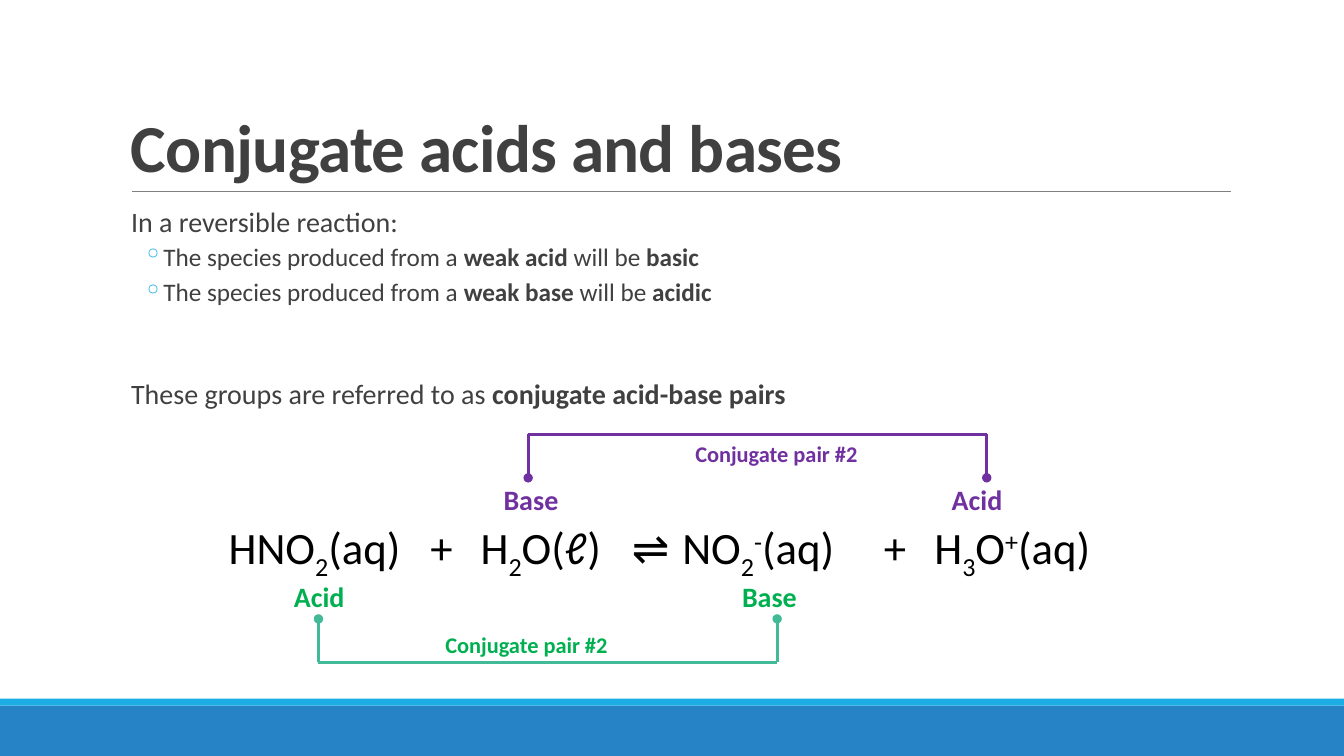
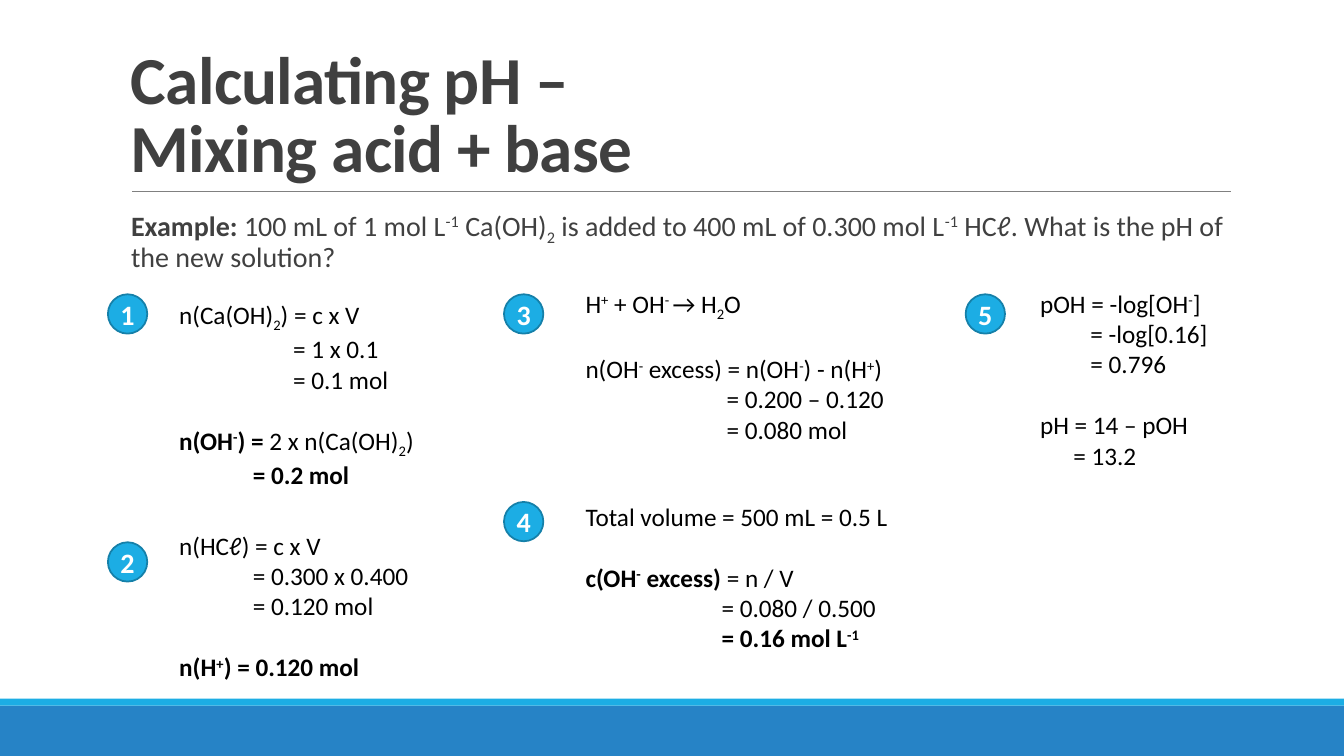
from dataclasses import dataclass

from lxml import etree
from pptx import Presentation
from pptx.dml.color import RGBColor
from pptx.enum.shapes import MSO_CONNECTOR, MSO_SHAPE
from pptx.enum.text import MSO_ANCHOR, PP_ALIGN
from pptx.oxml.ns import qn
from pptx.util import Inches, Pt

STRAIGHT = MSO_CONNECTOR.STRAIGHT
RECTANGLE, OVAL = MSO_SHAPE.RECTANGLE, MSO_SHAPE.OVAL
TOP, MIDDLE, BOTTOM = MSO_ANCHOR.TOP, MSO_ANCHOR.MIDDLE, MSO_ANCHOR.BOTTOM
CENTER = PP_ALIGN.CENTER


@dataclass(frozen=True)
class Theme:
    """Colours, font and type sizes shared by the slides."""
    font: str = "Calibri"
    band: str = "2683C6"
    accent: str = "1CADE4"
    badge_edge: str = "1580A9"
    rule: str = "808080"
    heading: str = "404040"
    ink: str = "000000"
    white: str = "FFFFFF"
    purple: str = "7030A0"
    green: str = "00B050"
    green_line: str = "42BA97"
    title: int = 48
    equation: int = 32
    body: int = 20
    working: int = 18
    pair: int = 16


@dataclass(frozen=True)
class Box:
    """A region in inches, divided into 100 columns and 100 rows."""
    left: float
    top: float
    width: float
    height: float

    def cell(self, x, y, w=0, h=0):
        """Return the sub-region at the given columns and rows."""
        return Box(self.left + self.width * x / 100, self.top + self.height * y / 100,
                   self.width * w / 100, self.height * h / 100)

    def emu(self):
        """Return left, top, width and height as lengths."""
        return [Inches(v) for v in (self.left, self.top, self.width, self.height)]


@dataclass(frozen=True)
class Line:
    """A paragraph: * toggles bold, ~ subscript and ^ superscript."""
    text: str
    indent: float = 0
    before: float = 0
    after: float = 0
    size: int = 0
    bullet: str = ""
    tabs: tuple = ()


THEME = Theme()
PAGE = Box(0, 0, 13.33, 7.5)
BLANK_LINE = 22
BULLET_HANG = 0.2
BASELINES = {"~": "-25000", "^": "30000"}


def rgb(color):
    """Turn a hex string into a colour."""
    return RGBColor.from_string(color)


def add_runs(paragraph, text):
    """Split marked text into runs with bold and baseline shifts."""
    bold, shift, chunk = False, None, ""
    for letter in [*text, ""]:
        if letter and letter not in "*~^":
            chunk += letter
            continue
        if chunk:
            run = paragraph.add_run()
            run.text = chunk
            if bold:
                run.font.bold = True
            if shift:
                run.font._element.set("baseline", BASELINES[shift])
        chunk = ""
        if letter == "*":
            bold = not bold
        elif letter in BASELINES:
            shift = None if shift == letter else letter


def format_indent(paragraph, line):
    """Set the indent, bullet and tab stops of a paragraph."""
    props = paragraph._p.get_or_add_pPr()
    props.set("marL", str(Inches(line.indent)))
    props.set("indent", str(-Inches(BULLET_HANG) if line.bullet else 0))
    if line.bullet:
        color = etree.SubElement(props, qn("a:buClr"))
        etree.SubElement(color, qn("a:srgbClr"), val=THEME.accent)
        etree.SubElement(props, qn("a:buChar"), char=line.bullet)
    if line.tabs:
        stops = etree.SubElement(props, qn("a:tabLst"))
        for stop in line.tabs:
            etree.SubElement(stops, qn("a:tab"), pos=str(Inches(stop)), algn="l")


def set_font(paragraph, size, color, bold=None):
    """Set the common font of a paragraph."""
    font = paragraph.font
    font.name, font.size, font.bold = THEME.font, Pt(size), bold
    font.color.rgb = rgb(color)


def add_text(slide, box, lines, size, color=THEME.ink, bold=None,
             spacing=None, anchor=TOP, side_inset=0.1):
    """Write lines into a wrapped text box and return its frame."""
    frame = slide.shapes.add_textbox(*box.emu()).text_frame
    frame.word_wrap = True
    frame.vertical_anchor = anchor
    frame.margin_left = frame.margin_right = Inches(side_inset)
    for index, line in enumerate(lines):
        paragraph = frame.add_paragraph() if index else frame.paragraphs[0]
        format_indent(paragraph, line)
        paragraph.line_spacing = spacing
        paragraph.space_before = Pt(line.before)
        paragraph.space_after = Pt(line.after)
        add_runs(paragraph, line.text)
        set_font(paragraph, line.size or size, color, bold)
    return frame


def add_line(slide, start, end, color, width, dotted_start=False):
    """Draw a straight line, with an oval at its start if asked."""
    line = slide.shapes.add_connector(STRAIGHT, *start.emu()[:2], *end.emu()[:2])
    line.line.color.rgb = rgb(color)
    line.line.width = Pt(width)
    if dotted_start:
        etree.SubElement(line.line._get_or_add_ln(), qn("a:headEnd"), type="oval")
    etree.SubElement(line._element.spPr, qn("a:effectLst"))


def add_filled(slide, preset, box, fill, edge=None):
    """Draw a filled preset shape with an optional outline."""
    shape = slide.shapes.add_shape(preset, *box.emu())
    shape.shadow.inherit = False
    shape.fill.solid()
    shape.fill.fore_color.rgb = rgb(fill)
    if edge:
        shape.line.color.rgb = rgb(edge)
        shape.line.width = Pt(1.25)
    else:
        shape.line.fill.background()
    return shape


def add_frame(deck, title):
    """Add a slide with its bands, title and rule."""
    slide = deck.slides.add_slide(deck.slide_layouts[6])
    add_filled(slide, RECTANGLE, PAGE.cell(0, 93.33, 100, 6.67), THEME.band)
    add_filled(slide, RECTANGLE, PAGE.cell(0, 92.4, 100, 0.93), THEME.accent)
    add_line(slide, PAGE.cell(9.83, 25.33), PAGE.cell(91.58, 25.33), THEME.rule, 0.5)
    heading = add_text(slide, PAGE.cell(9, 4.13, 82.5, 21.2), [Line("")], THEME.title,
                       THEME.heading, True, 0.85, BOTTOM).paragraphs[0]
    heading.text = title
    for run in heading.runs:
        run.font._element.set("spc", "-50")
    return slide


def add_body(slide, box, lines):
    """Write the introductory text below the rule."""
    add_text(slide, box, lines, THEME.body, THEME.heading, spacing=0.9, side_inset=0)


def add_pair(slide, panel, left, bar, foot, names, names_top, caption, color, line_color):
    """Bracket two species of the equation and label the pair."""
    right = left + 50.44
    add_line(slide, panel.cell(left, bar), panel.cell(right, bar), line_color, 2.25)
    for x, name, shift in zip((left, right), names, (3.8, 4.95)):
        add_line(slide, panel.cell(x, foot), panel.cell(x, bar), line_color, 2.25, True)
        add_text(slide, panel.cell(x - shift, names_top, 13.19, 19.47),
                 [Line(name)], THEME.body, color, True)
    add_text(slide, panel.cell(*caption, 27.8, 16.37),
             [Line("Conjugate pair #2")], THEME.pair, color, True)


def add_equation(slide, panel):
    """Place the equation between its two conjugate pairs."""
    equation = Line("HNO~2~(aq)\t+\tH~2~O(ℓ)\t⇌\tNO~2~^-^(aq)\t+\tH~3~O^+^(aq)",
                    tabs=(2.01, 2.43, 3.94, 4.6, 6.41, 6.94))
    add_text(slide, panel.cell(0, 35.4, 100, 28.32), [equation], THEME.equation)
    add_pair(slide, panel, 34.04, 0, 19.03, ("Base", "Acid"), 19.03,
             (51.33, 0.44), THEME.purple, THEME.purple)
    add_pair(slide, panel, 10.98, 100, 80.97, ("Acid", "Base"), 61.5,
             (23.84, 84.07), THEME.green, THEME.green_line)


def add_step(slide, number, badge_box, working_box, lines):
    """Place a numbered badge and the working beside it."""
    badge = add_filled(slide, OVAL, badge_box, THEME.accent, THEME.badge_edge)
    frame = badge.text_frame
    frame.margin_left = frame.margin_right = frame.margin_top = frame.margin_bottom = 0
    frame.vertical_anchor = MIDDLE
    label = frame.paragraphs[0]
    label.text = str(number)
    label.alignment = CENTER
    set_font(label, THEME.body, THEME.white, True)
    add_text(slide, working_box, lines, THEME.working)


def build_conjugates(deck):
    """Build the slide on conjugate acids and bases."""
    slide = add_frame(deck, "Conjugate acids and bases")
    point = dict(indent=0.42, before=2, after=4, size=THEME.working, bullet="◦")
    add_body(slide, PAGE.cell(9, 26.93, 82.5, 28.53), [
        Line("In a reversible reaction:", 0.1, after=2),
        Line("The species produced from a *weak acid* will be *basic*", **point),
        Line("The species produced from a *weak base* will be *acidic*", **point),
        Line("These groups are referred to as *conjugate acid-base pairs*", 0.1, 48, 2),
    ])
    add_equation(slide, PAGE.cell(16.27, 57.47, 67.65, 30.13))


def build_mixing(deck):
    """Build the worked example on mixing an acid and a base."""
    slide = add_frame(deck, "Calculating pH – \vMixing acid + base")
    add_body(slide, PAGE.cell(9, 26.93, 82.5, 10), [
        Line("*Example: *100 mL of 1 mol L^-1^ Ca(OH)~2~ is added to 400 mL of "
             "0.300 mol L^-1^ HCℓ. What is the pH of the new solution?", 0.1)])
    first, second, third = (8.03, 12.6, 21.68), (37.5, 42.83, 27.68), (71.85, 76.65, 21)
    steps = [
        (first, 38.93, 38.93, 25.6, [
            Line("n(Ca(OH)~2~) = c x V"),
            Line("= 1 x 0.1", 1.13),
            Line("= 0.1 mol", 1.13),
            Line("*n(OH^-^) = *2 x n(Ca(OH)~2~)", before=BLANK_LINE),
            Line("*= 0.2 mol*", 0.73)]),
        (first, 71.73, 69.47, 21.6, [
            Line("n(HCℓ) = c x V"),
            Line("= 0.300 x 0.400", 0.73),
            Line("= 0.120 mol", 0.73),
            Line("*n(H^+^) = 0.120 mol*", before=BLANK_LINE)]),
        (second, 38.93, 37.47, 21.6, [
            Line("H^+^ + OH^- ^→ H~2~O"),
            Line("n(OH^-^ excess) = n(OH^-^) - n(H^+^)", before=BLANK_LINE),
            Line("= 0.200 – 0.120", 1.4),
            Line("= 0.080 mol", 1.4)]),
        (second, 66.4, 65.6, 21.6, [
            Line("Total volume = 500 mL = 0.5 L"),
            Line("*c(OH^-^ excess) *= n / V", before=BLANK_LINE),
            Line("= 0.080 / 0.500", 1.35),
            Line("*= 0.16 mol L^-1^*", 1.35)]),
        (third, 38.93, 37.47, 25.6, [
            Line("pOH = -log[OH^-^]"),
            Line("= -log[0.16]", 0.5),
            Line("= 0.796", 0.5),
            Line("pH = 14 – pOH", before=BLANK_LINE),
            Line("= 13.2", 0.33)]),
    ]
    for number, (column, badge_top, top, height, lines) in enumerate(steps, 1):
        badge_left, left, width = column
        add_step(slide, number, PAGE.cell(badge_left, badge_top, 2.93, 5.2),
                 PAGE.cell(left, top, width, height), lines)


def main():
    """Build and save the two slides."""
    deck = Presentation()
    deck.slide_width, deck.slide_height = PAGE.emu()[2:]
    build_conjugates(deck)
    build_mixing(deck)
    deck.save("out.pptx")


if __name__ == "__main__":
    main()
